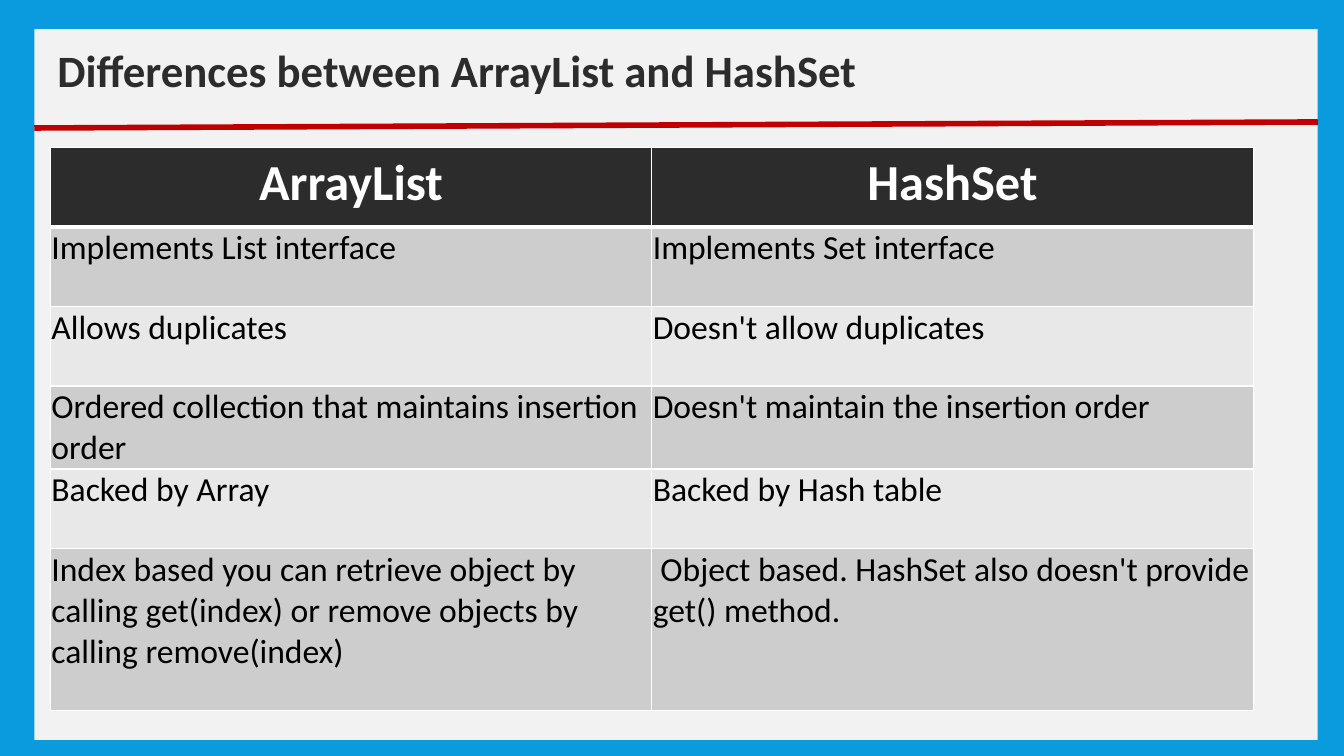
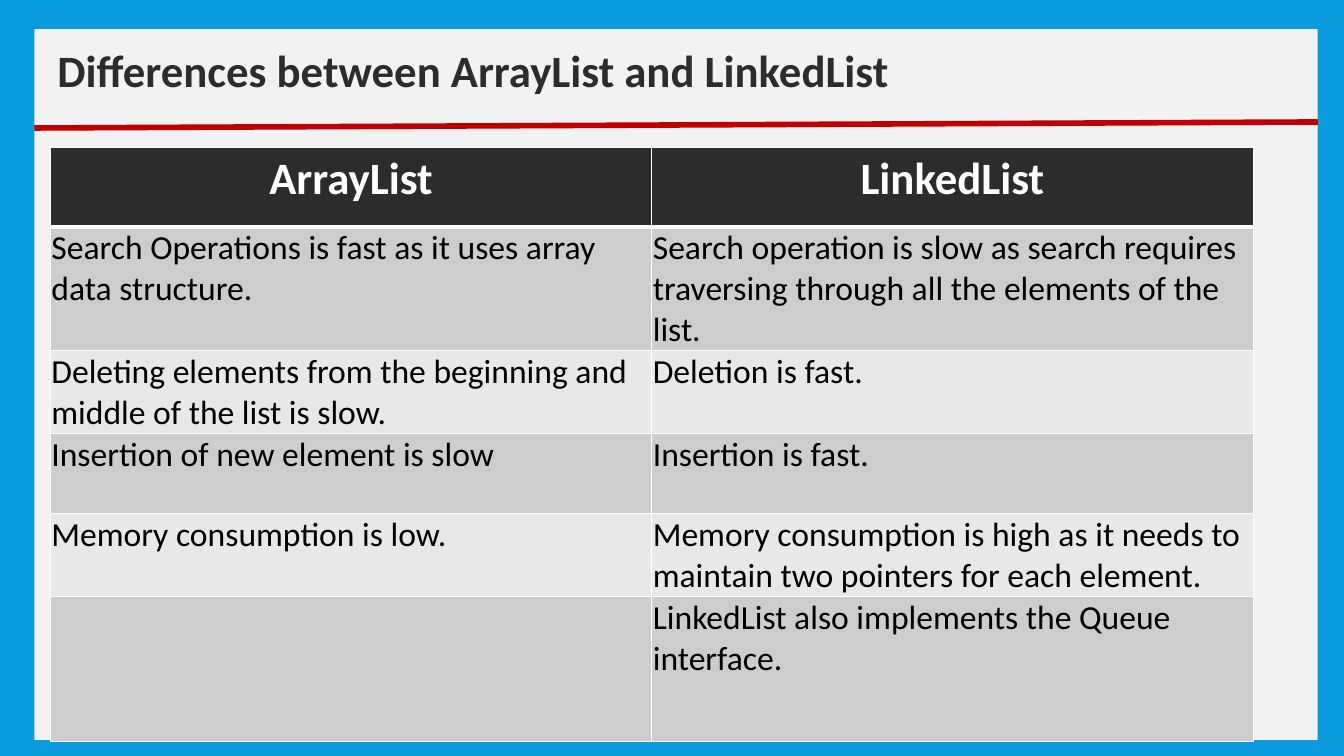
from lxml import etree
from pptx import Presentation
from pptx import util as u
from pptx.dml.color import RGBColor
from pptx.enum import shapes, text
from pptx.oxml import ns

BLUE = RGBColor(0x09, 0x9B, 0xDD)
PANEL = RGBColor(0xF2, 0xF2, 0xF2)
RED = RGBColor(0xC0, 0x00, 0x00)
DARK = RGBColor(0x2C, 0x2C, 0x2C)
WHITE = RGBColor(0xFF, 0xFF, 0xFF)
BLACK = RGBColor(0x00, 0x00, 0x00)
BANDS = (RGBColor(0xCD, 0xCD, 0xCD), RGBColor(0xE8, 0xE8, 0xE8))
FONT = "Calibri"

PANEL_BOX = (0.34, 0.29, 12.73, 7.05)
TITLE_BOX = (0.47, 0.37, 10.56, 0.64)
TABLE_LEFT, TABLE_TOP, TABLE_WIDTH = 0.5, 1.46, 11.93
ROW_HEIGHT = 0.79

ARRAY_HASH = [
    ("ArrayList", "HashSet"),
    ("Implements List interface", "Implements Set interface"),
    ("Allows duplicates", "Doesn't allow duplicates"),
    ("Ordered collection that maintains insertion order",
     "Doesn't maintain the insertion order"),
    ("Backed by Array", "Backed by Hash table"),
    ("Index based you can retrieve object by calling get(index) "
     "or remove objects by calling remove(index)",
     " Object based. HashSet also doesn't provide get() method."),
]
ARRAY_LINKED = [
    ("ArrayList", "LinkedList"),
    ("Search Operations is fast as it uses array data structure.",
     "Search operation is slow as search requires traversing through "
     "all the elements of the list."),
    ("Deleting elements from the beginning and middle of the list is slow.",
     "Deletion is fast."),
    ("Insertion of new element is slow", "Insertion is fast."),
    ("Memory consumption is low.",
     "Memory consumption is high as it needs to maintain two pointers "
     "for each element."),
    ("", "LinkedList also implements the Queue interface."),
]


def write_text(frame, words, size=24, color=BLACK, bold=False,
               align=text.PP_ALIGN.LEFT):
    para = frame.paragraphs[0]
    para.alignment = align
    if not words:
        para.font.size = u.Pt(size)
        return
    span = para.add_run()
    span.text = words
    span.font.name = FONT
    span.font.size = u.Pt(size)
    span.font.bold = bold
    span.font.color.rgb = color


def add_frame(page, box):
    page.background.fill.solid()
    page.background.fill.fore_color.rgb = BLUE
    left, top, width, height = box
    panel = page.shapes.add_shape(
        shapes.MSO_SHAPE.RECTANGLE, *map(u.Inches, box))
    panel.shadow.inherit = False
    panel.fill.solid()
    panel.fill.fore_color.rgb = PANEL
    panel.line.fill.background()
    rule = page.shapes.add_connector(
        shapes.MSO_CONNECTOR.STRAIGHT,
        u.Inches(left), u.Inches(top + 0.98),
        u.Inches(left + width), u.Inches(top + 0.92))
    rule.line.color.rgb = RED
    rule.line.width = u.Pt(4)
    etree.SubElement(rule.element.spPr, ns.qn("a:effectLst"))
    return rule


def place_title(page, words, box, behind):
    title = page.shapes.title
    behind.element.addnext(title.element)
    title.left, title.top, title.width, title.height = map(u.Inches, box)
    frame = title.text_frame
    frame.word_wrap = True
    frame.auto_size = text.MSO_AUTO_SIZE.NONE
    frame.vertical_anchor = text.MSO_ANCHOR.MIDDLE
    write_text(frame, words, size=32, color=DARK, bold=True)


def add_borders(cell, bottom=1, top=1):
    properties = cell._tc.get_or_add_tcPr()
    for side, width in (("L", 1), ("R", 1), ("T", top), ("B", bottom)):
        line = etree.SubElement(
            properties, ns.qn("a:ln" + side), w=str(u.Pt(width)))
        fill = etree.SubElement(line, ns.qn("a:solidFill"))
        etree.SubElement(fill, ns.qn("a:srgbClr"), val=str(WHITE))


def fill_cell(cell, words, row, header_size):
    is_header = row == 0
    add_borders(cell, bottom=3 if is_header else 1, top=3 if row == 1 else 1)
    cell.fill.solid()
    cell.fill.fore_color.rgb = DARK if is_header else BANDS[(row - 1) % 2]
    if is_header:
        write_text(cell.text_frame, words, size=header_size, color=WHITE,
                   bold=True, align=text.PP_ALIGN.CENTER)
        return
    cell.margin_left = cell.margin_right = cell.margin_top = u.Inches(0.01)
    cell.margin_bottom = 0
    write_text(cell.text_frame, words)


def add_comparison(page, rows, left, top, width, header_size, last_height):
    heights = [ROW_HEIGHT] * (len(rows) - 1) + [last_height]
    table = page.shapes.add_table(
        len(rows), len(rows[0]), u.Inches(left), u.Inches(top),
        u.Inches(width), u.Inches(sum(heights))).table
    for row, (entries, height) in enumerate(zip(rows, heights)):
        table.rows[row].height = u.Inches(height)
        for column, words in enumerate(entries):
            fill_cell(table.cell(row, column), words, row, header_size)


def add_comparison_page(deck, title, rows, header_size, last_height):
    page = deck.slides.add_slide(deck.slide_layouts[5])
    rule = add_frame(page, PANEL_BOX)
    place_title(page, title, TITLE_BOX, rule)
    add_comparison(page, rows, TABLE_LEFT, TABLE_TOP, TABLE_WIDTH,
                   header_size, last_height)


def main():
    deck = Presentation()
    deck.slide_width, deck.slide_height = u.Inches(13.33), u.Inches(7.5)
    add_comparison_page(deck, "Differences between ArrayList and HashSet",
                        ARRAY_HASH, header_size=36, last_height=1.61)
    add_comparison_page(deck, "Differences between ArrayList and LinkedList",
                        ARRAY_LINKED, header_size=32, last_height=1.44)
    deck.save("out.pptx")


if __name__ == "__main__":
    main()
